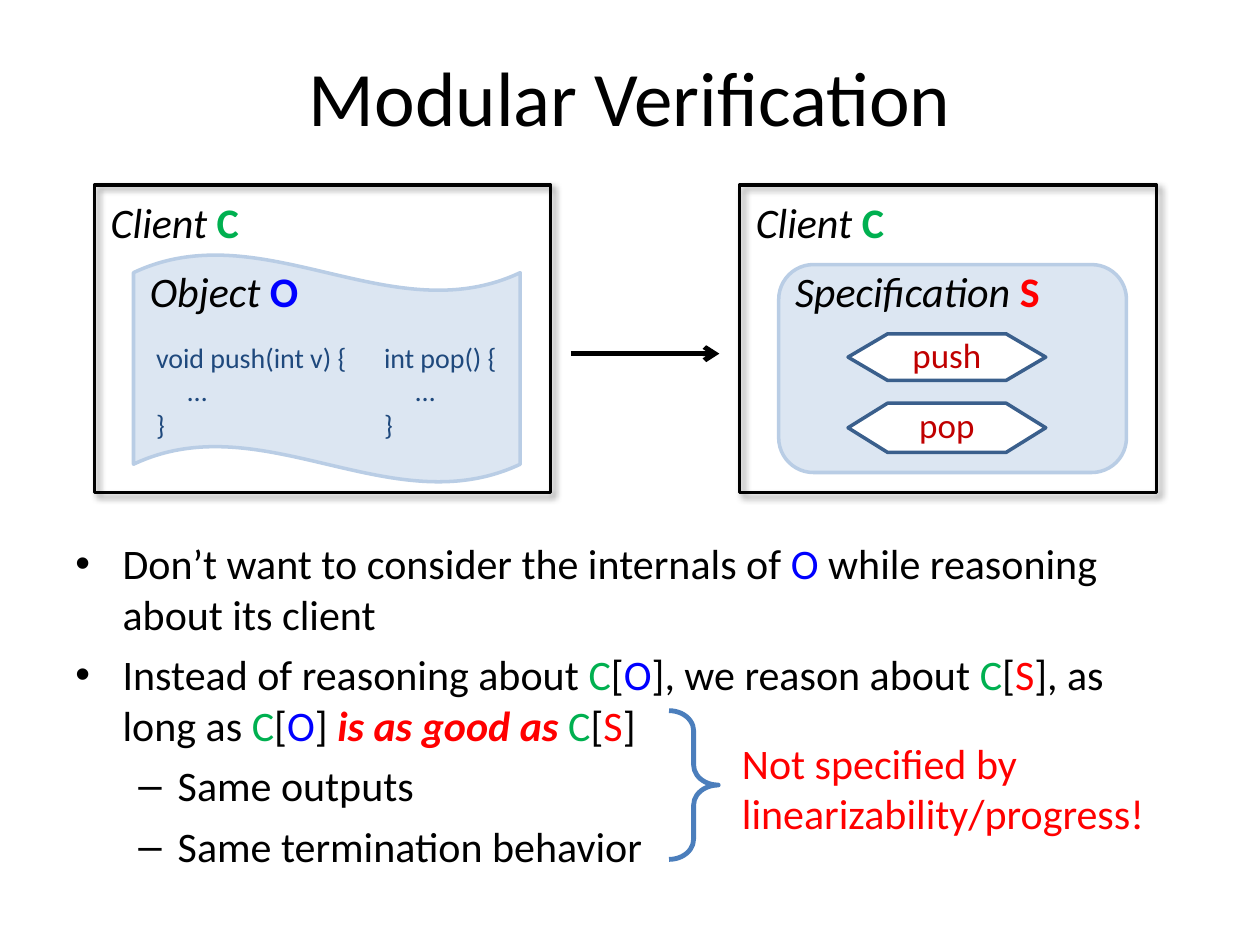
from lxml.etree import SubElement
from pptx import Presentation
from pptx.dml.color import RGBColor
from pptx.enum.shapes import MSO_CONNECTOR, MSO_SHAPE
from pptx.enum.text import MSO_ANCHOR, PP_ALIGN
from pptx.oxml import parse_xml
from pptx.oxml.ns import nsdecls, qn
from pptx.util import Pt

BLACK, WHITE, NAVY = "000000", "FFFFFF", "1F497D"
GREEN, BLUE, RED, CRIMSON = "00B050", "0000FF", "FF0000", "C00000"
PALE, PALE_EDGE, HEXAGON_EDGE, BRACE_EDGE = "DCE6F2", "B9CDE5", "3A5F8C", "4B7EBC"
paint = RGBColor.from_string

deck = Presentation()
deck.slide_width, deck.slide_height = Pt(720), Pt(540)
page = deck.slides.add_slide(deck.slide_layouts[6])


def add_text(place, paragraphs, size, align=PP_ALIGN.LEFT, anchor=MSO_ANCHOR.TOP):
    """Each paragraph is a list of (text, colour, style); style holds b and i."""
    box = page.shapes.add_textbox(*map(Pt, place))
    frame = box.text_frame
    frame.word_wrap = True
    frame.vertical_anchor = anchor
    for number, spans in enumerate(paragraphs):
        paragraph = frame.add_paragraph() if number else frame.paragraphs[0]
        paragraph.alignment = align
        for words, colour, style in spans:
            span = paragraph.add_run()
            span.text = words
            span.font.name = "Calibri"
            span.font.size = Pt(size)
            span.font.color.rgb = paint(colour)
            span.font.bold = "b" in style
            span.font.italic = "i" in style
    return frame


def add_figure(kind, place, fill, edge, width=2):
    figure = page.shapes.add_shape(kind, *map(Pt, place))
    figure.shadow.inherit = False
    if fill:
        figure.fill.solid()
        figure.fill.fore_color.rgb = paint(fill)
    else:
        figure.fill.background()
    figure.line.color.rgb = paint(edge)
    figure.line.width = Pt(width)
    return figure


# Title
add_text((36, 9.4, 648, 90), [[("Modular Verification", BLACK, "")]], 44,
         PP_ALIGN.CENTER, MSO_ANCHOR.MIDDLE)

# Bullets
client, implementation, specification = ("C", GREEN, ""), ("O", BLUE, ""), ("S", RED, "")
opening, closing = ("[", BLACK, ""), ("]", BLACK, "")
bullets = [
    [("Don’t want to consider the internals of ", BLACK, ""), implementation,
     (" while reasoning about its client", BLACK, "")],
    [("Instead of reasoning about ", BLACK, ""), client, opening, implementation,
     ("], we reason about ", BLACK, ""), client, opening, specification,
     ("], as long as ", BLACK, ""), client, opening, implementation, ("] ", BLACK, ""),
     ("is as good as ", RED, "bi"), client, opening, specification, closing],
    [("Same outputs", BLACK, "")],
    [("Same termination behavior", BLACK, "")],
]
body = add_text((36, 303.8, 648, 215), bullets, 24)
for number, paragraph in enumerate(body.paragraphs):
    level = number // 2
    paragraph.level = level
    margin, indent, mark = [(27, -27, "•"), (58.5, -22.5, "–")][level]
    properties = paragraph._p.get_or_add_pPr()
    properties.set("marL", str(Pt(margin)))
    properties.set("indent", str(Pt(indent)))
    SubElement(properties, qn("a:buFont")).set("typeface", "Arial")
    SubElement(properties, qn("a:buChar")).set("char", mark)
    if number:
        paragraph.space_before = Pt(5.8)

# Client panels with a soft shadow
for left, width in [(54, 260.6), (422.6, 238.3)]:
    panel = add_figure(MSO_SHAPE.RECTANGLE, (left, 105.8, width, 175.7), None, BLACK)
    panel._element.spPr.find(qn("a:effectLst")).append(parse_xml(
        f'<a:outerShdw {nsdecls("a")} blurRad="{Pt(4)}" dist="{Pt(3)}" dir="2700000" '
        'algn="tl" rotWithShape="0"><a:srgbClr val="000000"><a:alpha val="40000"/>'
        '</a:srgbClr></a:outerShdw>'))

# Object and specification
wave = add_figure(MSO_SHAPE.WAVE, (76.3, 145.4, 221, 130.3), PALE, PALE_EDGE)
wave.adjustments[0] = 0.08
wave.adjustments[1] = 0
add_figure(MSO_SHAPE.ROUNDED_RECTANGLE, (445, 151.2, 198.7, 118.8), PALE, PALE_EDGE)

# Panel headings
for left, top, width, label, letter, colour in [
    (54, 111.6, 102, "Client ", "C", GREEN),
    (76.3, 151.2, 130, "Object ", "O", BLUE),
    (422.6, 111.6, 102, "Client ", "C", GREEN),
    (445, 151.2, 170, "Specification ", "S", RED),
]:
    heading = add_text((left, top, width, 33.8),
                       [[(label, BLACK, "i"), (letter, colour, "b")]],
                       24, anchor=MSO_ANCHOR.MIDDLE)
    heading.margin_top = 0
    heading.paragraphs[0]._p.get_or_add_pPr().set("marL", str(Pt(2.2)))

# Method code
for left, width, signature in [(82.1, 130.3, "void push(int v) {"), (212.4, 83.5, "int pop() {")]:
    code = add_text((left, 190.8, width, 65.5),
                    [[(line, NAVY, "")] for line in (signature, "     …", "}")], 16)
    code.word_wrap = width > 100

# Abstract operations
for top, height, name in [(190.8, 26.6, "push"), (230.4, 28.1, "pop")]:
    add_figure(MSO_SHAPE.FLOWCHART_PREPARATION, (484.6, top, 113, height), WHITE, HEXAGON_EDGE)
    add_text((509.8, top - 3.6, 62.6, 31.7), [[(name, CRIMSON, "")]], 20, PP_ALIGN.CENTER)

# Arrow from object to specification
arrow = page.shapes.add_connector(MSO_CONNECTOR.STRAIGHT, Pt(326.2), Pt(202.1), Pt(411.1), Pt(202.1))
arrow.line.color.rgb = paint(BLACK)
arrow.line.width = Pt(2.75)
SubElement(arrow.line._get_or_add_ln(), qn("a:tailEnd")).set("type", "arrow")
SubElement(arrow._element.spPr, qn("a:effectLst"))

# Brace and remark
brace = add_figure(MSO_SHAPE.RIGHT_BRACE, (382.3, 406.1, 28.1, 85), None, BRACE_EDGE, 2.75)
brace.adjustments[0] = 0.41
brace.adjustments[1] = 0.5
add_text((416.9, 417.6, 254.9, 65.5),
         [[("Not specified by linearizability/progress!", RED, "")]], 24)

deck.save("out.pptx")
